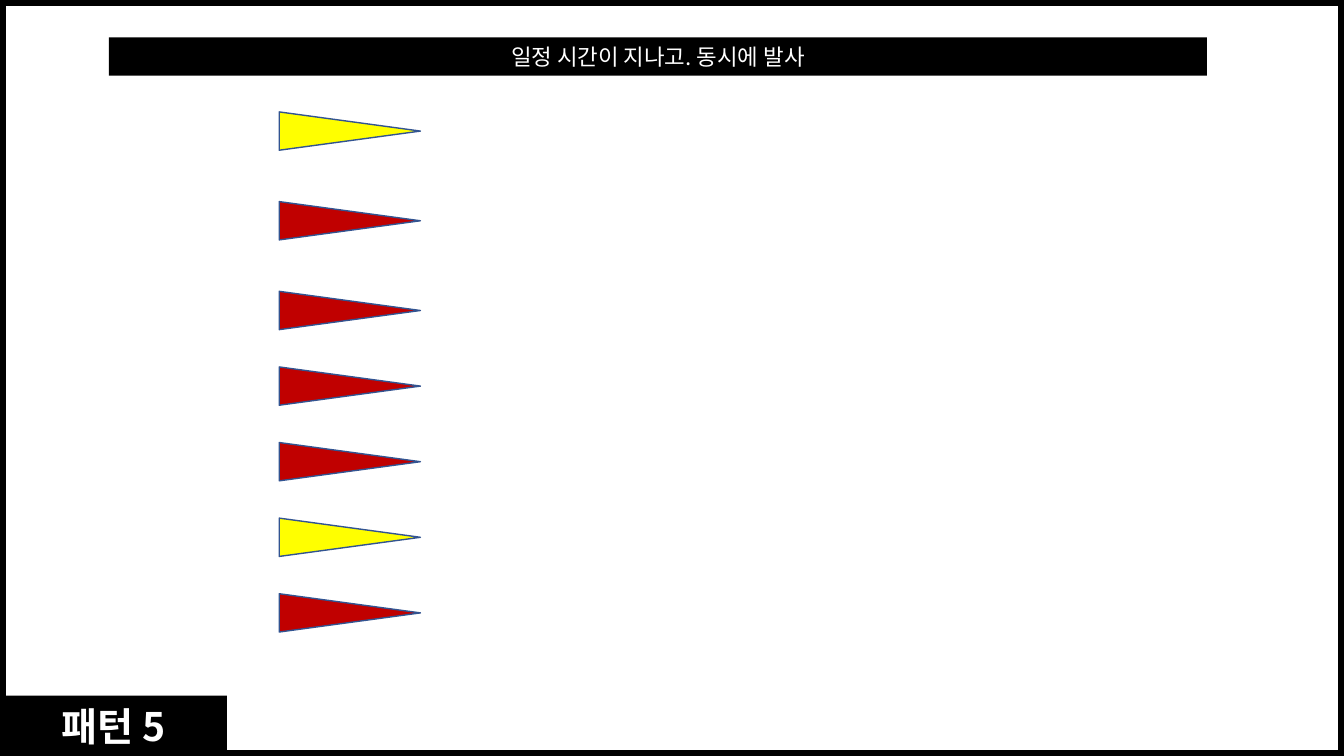
from dataclasses import dataclass

from lxml import etree
from pptx import Presentation
from pptx.dml.color import RGBColor
from pptx.enum.shapes import MSO_SHAPE
from pptx.enum.text import MSO_ANCHOR, MSO_AUTO_SIZE, PP_ALIGN
from pptx.oxml.ns import qn
from pptx.shapes.autoshape import Shape
from pptx.slide import Slide
from pptx.util import Inches, Pt

RECTANGLE = MSO_SHAPE.RECTANGLE
MERGE = MSO_SHAPE.FLOWCHART_MERGE
MIDDLE = MSO_ANCHOR.MIDDLE
CENTER = PP_ALIGN.CENTER
NO_AUTOFIT = MSO_AUTO_SIZE.NONE


@dataclass(frozen=True)
class Theme:
    font: str = "Noto Sans CJK KR"
    title_size: int = 28
    caption_size: int = 16
    white: str = "FFFFFF"
    black: str = "000000"
    yellow: str = "FFFF00"
    red: str = "C00000"
    outline: str = "325491"


@dataclass(frozen=True)
class Box:
    left: float
    top: float
    width: float
    height: float


@dataclass(frozen=True)
class Label:
    text: str
    box: Box
    size: int
    bold: bool


@dataclass(frozen=True)
class Marker:
    top: float
    color: str


THEME = Theme()
SLIDE_BOX = Box(0, 0, 13.33, 7.5)
TITLE = Label("패턴 5", Box(0, 6.9, 2.25, 0.61), THEME.title_size, True)
CAPTION = Label("일정 시간이 지나고. 동시에 발사", Box(1.08, 0.37, 10.89, 0.38),
                THEME.caption_size, False)

# The first three markers are spaced wider than the rest
MARKER_LEFT, MARKER_WIDTH, MARKER_HEIGHT = 3.28, 0.38, 1.4
FIRST_TOP, WIDE_STEP, NARROW_STEP, WIDE_COUNT = 0.6, 0.89, 0.75, 2
YELLOW_MARKERS = (0, 5)
MARKERS = [
    Marker(FIRST_TOP + WIDE_STEP * min(index, WIDE_COUNT)
           + NARROW_STEP * max(index - WIDE_COUNT, 0),
           THEME.yellow if index in YELLOW_MARKERS else THEME.red)
    for index in range(7)
]


def paint(shape: Shape, color: str) -> None:
    shape.fill.solid()
    shape.fill.fore_color.rgb = RGBColor.from_string(color)


def add_outlined(slide: Slide, kind: MSO_SHAPE, box: Box, fill: str,
                 line: str, line_width: float) -> Shape:
    shape = slide.shapes.add_shape(kind, Inches(box.left), Inches(box.top),
                                   Inches(box.width), Inches(box.height))
    shape.shadow.inherit = False
    paint(shape, fill)
    shape.line.color.rgb = RGBColor.from_string(line)
    shape.line.width = Pt(line_width)
    return shape


def format_label(shape: Shape, label: Label) -> None:
    box = label.box
    shape.left, shape.top = Inches(box.left), Inches(box.top)
    shape.width, shape.height = Inches(box.width), Inches(box.height)
    paint(shape, THEME.black)
    shape.line.fill.background()
    frame = shape.text_frame
    frame.auto_size = NO_AUTOFIT
    frame.word_wrap = True
    frame.vertical_anchor = MIDDLE
    paragraph = frame.paragraphs[0]
    paragraph.alignment = CENTER
    paragraph.line_spacing = 1.0
    paragraph.space_before = Pt(0)
    run = paragraph.add_run()
    run.text = label.text
    run.font.name = THEME.font
    run.font.size = Pt(label.size)
    run.font.bold = label.bold
    run.font.color.rgb = RGBColor.from_string(THEME.white)
    # Korean letters take the East Asian typeface
    east_asian = etree.SubElement(run.font._element, qn("a:ea"))
    east_asian.set("typeface", THEME.font)


def main() -> None:
    presentation = Presentation()
    presentation.slide_width = Inches(SLIDE_BOX.width)
    presentation.slide_height = Inches(SLIDE_BOX.height)
    slide = presentation.slides.add_slide(presentation.slide_layouts[5])

    # Border, with the title placed in front of it
    border = add_outlined(slide, RECTANGLE, SLIDE_BOX, THEME.white, THEME.black, 8)
    title = slide.shapes.title
    border.element.addnext(title.element)
    format_label(title, TITLE)

    # Caption bar
    caption = add_outlined(slide, RECTANGLE, CAPTION.box, THEME.black, THEME.black, 1)
    format_label(caption, CAPTION)

    # Column of markers pointing right
    for marker in MARKERS:
        box = Box(MARKER_LEFT, marker.top, MARKER_WIDTH, MARKER_HEIGHT)
        shape = add_outlined(slide, MERGE, box, marker.color, THEME.outline, 1)
        shape.rotation = 270

    presentation.save("out.pptx")


if __name__ == "__main__":
    main()
